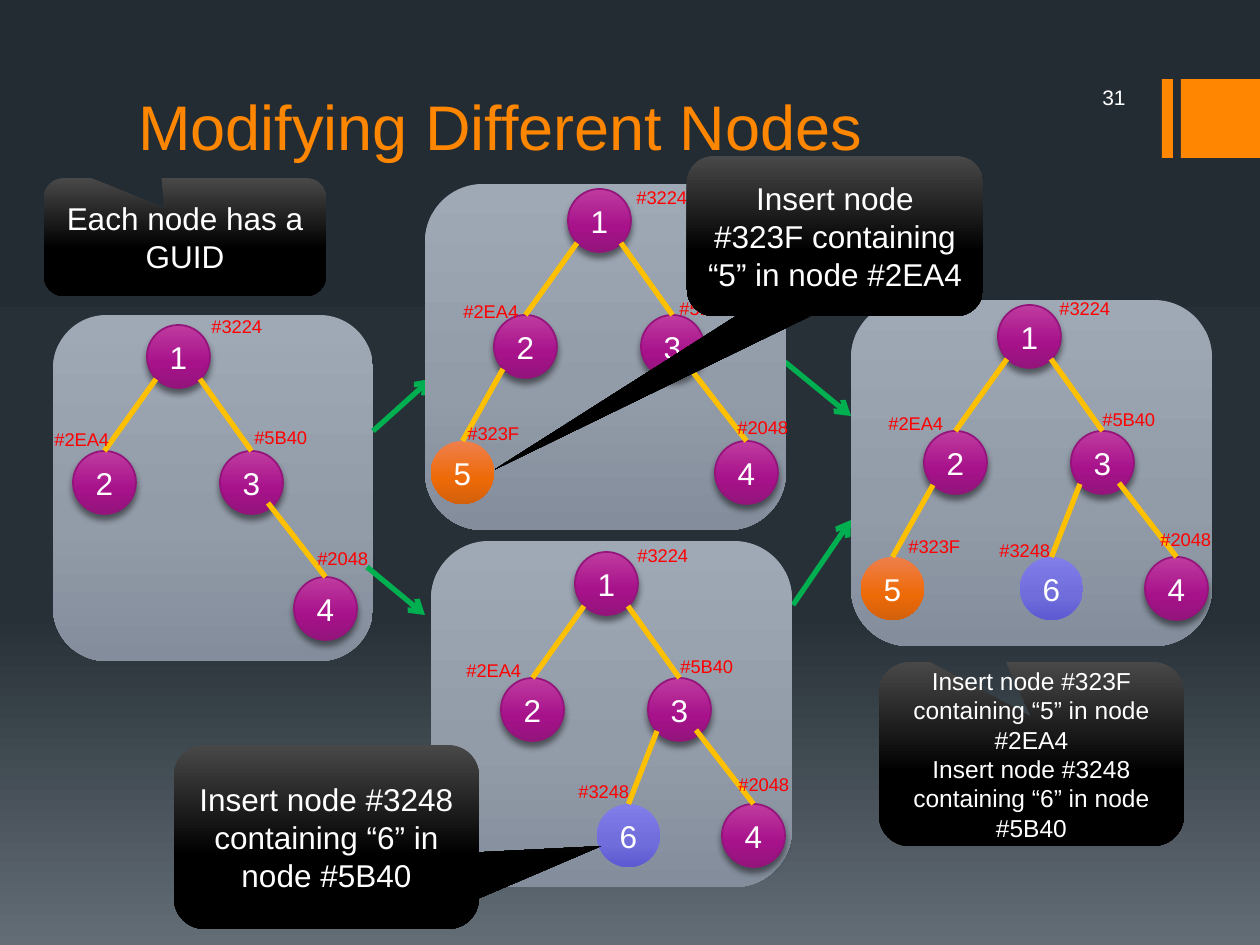
from copy import deepcopy

from lxml import etree
from pptx import Presentation
from pptx.dml.color import RGBColor
from pptx.enum.shapes import MSO_CONNECTOR as CONN, MSO_SHAPE as SHAPE
from pptx.enum.text import MSO_ANCHOR as ANCHOR, PP_ALIGN as ALIGN
from pptx.oxml.ns import qn
from pptx.util import Pt

SCALE = 914400 / 126

BACKDROP = [(0, "242C33"), (65, "273037"), (100, "636D76")]
PANEL = [(0, "9FA9B6"), (60, "929BA8"), (100, "838D9B")]
PURPLE = [(0, "BF3B9F"), (60, "A7128B"), (100, "94147C")]
ORANGE = [(0, "EE7F4C"), (60, "EE6A07"), (100, "D2610C")]
BLUE = [(0, "817EEA"), (60, "716EDC"), (100, "5D5AD2")]
BLACK = [(0, "484848"), (60, "000000"), (100, "000000")]
ACCENT, WHITE, RED = "FF8600", "FFFFFF", "FF0000"
YELLOW, GREEN = "FFC000", "00B050"

NODE = 63
# number: (offset from root, GUID, fill)
NODES = {
    1: ((0, 0), "#3224", PURPLE),
    2: ((-74, 126), "#2EA4", PURPLE),
    3: ((73, 126), "#5B40", PURPLE),
    4: ((147, 252), "#2048", PURPLE),
    5: ((-137, 252), "#323F", ORANGE),
    6: ((22, 252), "#3248", BLUE),
}
# child: (parent, start of the edge within the parent)
EDGES = {2: (1, (9, 54)), 3: (1, (53, 54)), 4: (3, (48, 52)),
         5: (2, (9, 54)), 6: (3, (9, 53))}

# panel box, root corner, {number: label corner}
FIRST_TREE = ((53, 315, 320, 346), (147, 325),
              {1: (199, 309), 2: (42, 422), 3: (242, 420), 4: (305, 541)})
LATER_TREES = [
    ((425, 184, 361, 346), (568, 189),
     {1: (624, 180), 2: (451, 294), 3: (667, 291), 4: (725, 410), 5: (455, 416)}),
    ((431, 541, 361, 346), (575, 552),
     {1: (625, 538), 2: (454, 653), 3: (668, 649), 4: (726, 767), 6: (566, 774)}),
    ((851, 300, 361, 346), (998, 305),
     {1: (1047, 291), 2: (876, 406), 3: (1090, 402), 4: (1148, 522),
      5: (896, 529), 6: (987, 533)}),
]
ARROWS = [((373, 431), (431, 379)), ((367, 567), (425, 615)),
          ((785, 362), (851, 416)), ((793, 605), (851, 520))]

INSERT_5 = "Insert node #323F containing “5” in node #2EA4"
INSERT_6 = "Insert node #3248 containing “6” in node #5B40"


def px(*values):
    return [round(v * SCALE) for v in values]


def rgb(color):
    return RGBColor.from_string(color)


def gradient(fill, root, stops):
    """Give a fill, held below the XML element root, a vertical gradient."""
    fill.gradient()
    fill.gradient_angle = 270
    gs_list = next(root.iter(qn("a:gsLst")))
    while len(gs_list) < len(stops):
        gs_list.append(deepcopy(gs_list[0]))
    for stop, (position, color) in zip(fill.gradient_stops, stops):
        stop.position = position / 100
        stop.color.rgb = rgb(color)


class Deck:
    """Holds the type style and the current slide."""
    font = "Arial"

    def __init__(self, prs):
        self.s = prs.slides.add_slide(prs.slide_layouts[6])
        gradient(self.s.background.fill, self.s._element, BACKDROP)

    def set_text(self, shape, lines, size, color=WHITE, align=ALIGN.CENTER,
                 anchor=ANCHOR.MIDDLE, wrap=True):
        tf = shape.text_frame
        tf.word_wrap = wrap
        tf.vertical_anchor = anchor
        tf.text = "\n".join(lines)
        for p in tf.paragraphs:
            p.alignment = align
            p.font.name = self.font
            p.font.size = Pt(size)
            p.font.color.rgb = rgb(color)

    def text(self, box, line, size, **style):
        self.set_text(self.s.shapes.add_textbox(*px(*box)), [line], size, **style)

    def shape(self, kind, box, fill):
        """Add a preset shape; fill is a hex colour or gradient stops."""
        sp = self.s.shapes.add_shape(kind, *px(*box))
        sp.shadow.inherit = False
        sp.line.fill.background()
        if isinstance(fill, str):
            sp.fill.solid()
            sp.fill.fore_color.rgb = rgb(fill)
        else:
            gradient(sp.fill, sp._element, fill)
        return sp

    def line(self, start, end, color, arrow=False):
        c = self.s.shapes.add_connector(CONN.STRAIGHT, *px(*start, *end))
        c.line.color.rgb = rgb(color)
        c.line.width = Pt(3)
        if arrow:
            etree.SubElement(c.line._get_or_add_ln(), qn("a:tailEnd"), type="arrow")
        etree.SubElement(c._element.spPr, qn("a:effectLst"))
        return c

    def node(self, number, x, y, fill):
        sp = self.shape(SHAPE.OVAL, (x, y, NODE, NODE), fill)
        if fill is PURPLE:
            sp.line.color.rgb = rgb("94147C")
            sp.line.width = Pt(1)
            effects = sp._element.spPr.find(qn("a:effectLst"))
            shadow = etree.SubElement(effects, qn("a:outerShdw"), blurRad="48260",
                                      dist="38100", dir="5400000", rotWithShape="0")
            color = etree.SubElement(shadow, qn("a:srgbClr"), val="000000")
            etree.SubElement(color, qn("a:alpha"), val="48000")
        self.set_text(sp, [str(number)], 18, wrap=False)
        return sp

    def tree(self, panel, root, labels):
        self.shape(SHAPE.ROUNDED_RECTANGLE, panel, PANEL)
        corners, ovals = {}, {}
        for number in labels:
            (dx, dy), _, fill = NODES[number]
            corners[number] = x, y = root[0] + dx, root[1] + dy
            ovals[number] = self.node(number, x, y, fill)
        for child, (parent, (dx, dy)) in EDGES.items():
            if child in corners:
                (x, y), (cx, cy) = corners[parent], corners[child]
                edge = self.line((x + dx, y + dy), (cx + NODE / 2, cy), YELLOW)
                edge.end_connect(ovals[child], 0)
        for number, (x, y) in labels.items():
            self.text((x, y, 80, 35), NODES[number][1], 10.5, color=RED,
                      align=ALIGN.LEFT, anchor=ANCHOR.TOP, wrap=False)

    def callout(self, box, tip, lines, size=18):
        sp = self.shape(SHAPE.ROUNDED_RECTANGULAR_CALLOUT, box, BLACK)
        sp.adjustments[0], sp.adjustments[1] = tip
        self.set_text(sp, lines, size)


def main():
    prs = Presentation()
    prs.slide_width, prs.slide_height = px(1260, 945)
    deck = Deck(prs)

    for x, width in ((1162, 11), (1181, 79)):
        deck.shape(SHAPE.RECTANGLE, (x, 79, width, 79), ACCENT)
    deck.text((126, 73, 1008, 96), "Modifying Different Nodes", 36, color=ACCENT,
              align=ALIGN.LEFT, anchor=ANCHOR.BOTTOM)
    deck.text((1008, 76, 130, 42), "31", 12, align=ALIGN.RIGHT)

    deck.tree(*FIRST_TREE)
    deck.callout((44, 178, 282, 118), (-0.07, -0.24), ["Each node has a GUID"])
    deck.callout((879, 662, 305, 184), (0, -0.2), [INSERT_5, INSERT_6], 14)
    for start, end in ARROWS:
        deck.line(start, end, GREEN, arrow=True)
    for tree in LATER_TREES:
        deck.tree(*tree)
    deck.callout((687, 156, 296, 160), (-1.15, 1.46), [INSERT_5])
    deck.callout((174, 745, 305, 184), (0.9, 0.05), [INSERT_6])

    prs.save("out.pptx")


if __name__ == "__main__":
    main()
